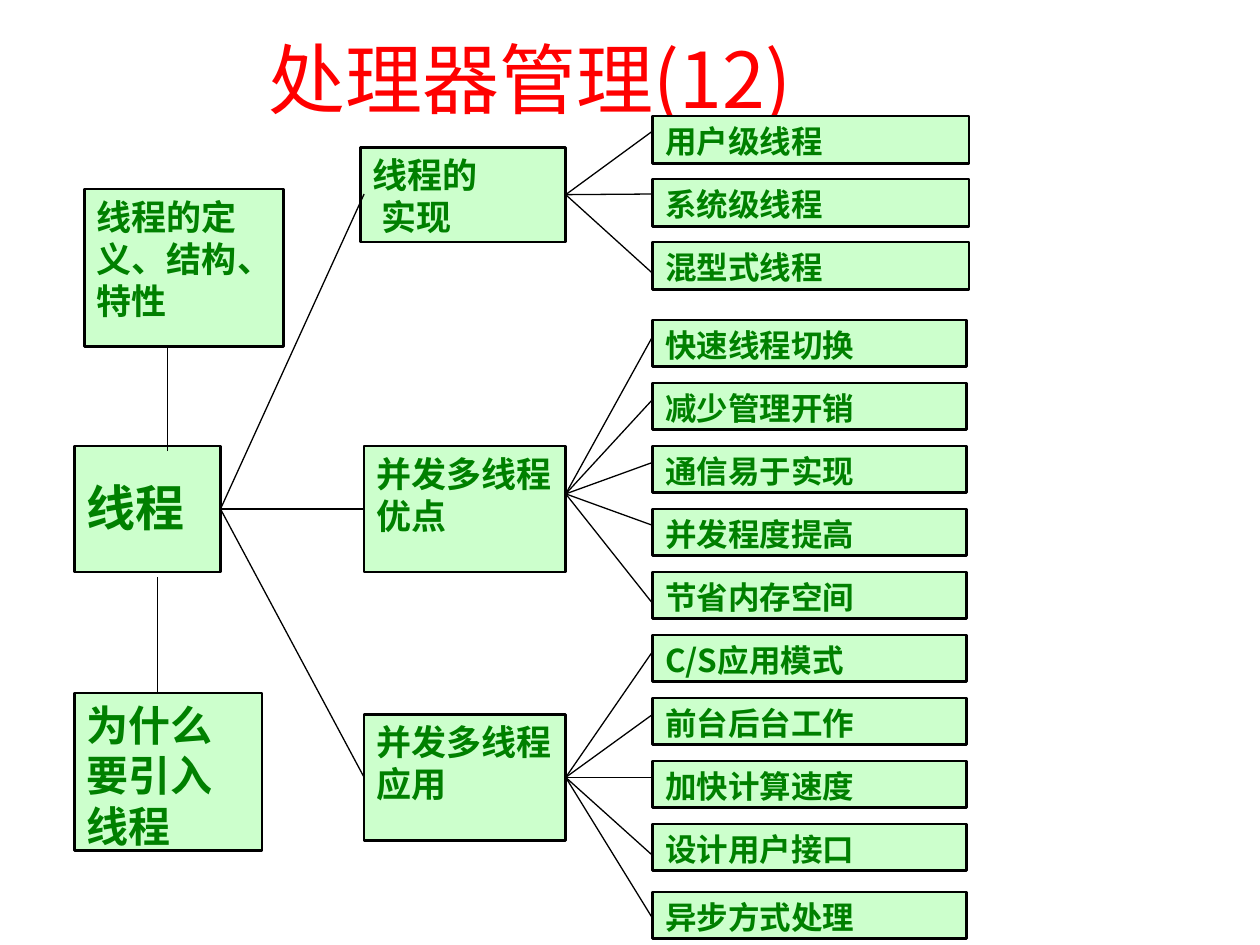
from dataclasses import dataclass

from lxml.etree import SubElement
from pptx import Presentation
from pptx.dml.color import RGBColor
from pptx.enum.shapes import MSO_CONNECTOR as Connector, MSO_SHAPE as Shape
from pptx.enum.text import MSO_ANCHOR as Anchor, MSO_AUTO_SIZE as AutoSize, PP_ALIGN as Align
from pptx.oxml.ns import qn
from pptx.util import Inches, Pt

RIGHT, LEFT = 3, 1  # connection sites of a rectangle


@dataclass(frozen=True)
class Theme:
    font: str = "Noto Sans CJK SC"
    title_color: RGBColor = RGBColor(0xFF, 0x00, 0x00)
    text_color: RGBColor = RGBColor(0x00, 0x80, 0x00)
    fill: RGBColor = RGBColor(0xCC, 0xFF, 0xCC)
    line: RGBColor = RGBColor(0x00, 0x00, 0x00)
    title_size: int = 44
    root_size: int = 28
    question_size: int = 24
    branch_size: int = 20
    leaf_size: int = 18


def write_text(paragraph, text, *, font, size, color, bold=False, align=Align.LEFT, indent=0):
    paragraph.alignment = align
    if indent:
        paragraph._p.get_or_add_pPr().set("marL", str(Inches(indent)))
    run = paragraph.add_run()
    run.text = text
    run.font.name = font
    run.font.size = Pt(size)
    run.font.bold = bold
    run.font.color.rgb = color
    # East Asian text takes its font from its own element
    SubElement(run._r.get_or_add_rPr(), qn("a:ea")).set("typeface", font)


class MindMap:
    def __init__(self, slide, theme):
        self.slide = slide
        self.theme = theme

    def title(self, text, left, top, width, height):
        shape = self.slide.shapes.title
        shape.left, shape.top = Inches(left), Inches(top)
        shape.width, shape.height = Inches(width), Inches(height)
        frame = shape.text_frame
        frame.auto_size = AutoSize.NONE
        frame.vertical_anchor = Anchor.MIDDLE
        write_text(frame.paragraphs[0], text, font=self.theme.font, align=Align.CENTER,
                   size=self.theme.title_size, color=self.theme.title_color)

    def box(self, lines, left, top, width, height, size, inset_top=0.05, second_indent=0):
        shape = self.slide.shapes.add_shape(
            Shape.RECTANGLE, Inches(left), Inches(top), Inches(width), Inches(height))
        shape.shadow.inherit = False
        shape.fill.solid()
        shape.fill.fore_color.rgb = self.theme.fill
        shape.line.color.rgb = self.theme.line
        shape.line.width = Pt(1.5)
        frame = shape.text_frame
        frame.word_wrap = True
        frame.vertical_anchor = Anchor.TOP
        frame.margin_top = Inches(inset_top)
        for index, line in enumerate(lines.split("\n")):
            paragraph = frame.add_paragraph() if index else frame.paragraphs[0]
            write_text(paragraph, line, font=self.theme.font, size=size, bold=True,
                       color=self.theme.text_color, indent=second_indent if index else 0)
        return shape

    def link(self, start, end, begin_box=None, end_box=None, width=0.75):
        connector = self.slide.shapes.add_connector(
            Connector.STRAIGHT, *(Inches(value) for value in (*start, *end)))
        connector.line.color.rgb = self.theme.line
        connector.line.width = Pt(width)
        SubElement(connector._element.spPr, qn("a:effectLst"))
        if begin_box is not None:
            connector.begin_connect(begin_box, RIGHT)
        if end_box is not None:
            connector.end_connect(end_box, LEFT)


def main():
    presentation = Presentation()
    presentation.slide_width, presentation.slide_height = Inches(10), Inches(7.5)
    slide = presentation.slides.add_slide(presentation.slide_layouts[5])
    theme = Theme()
    mind_map = MindMap(slide, theme)
    mind_map.title("处理器管理(12)", 0.08, 0.2, 8.25, 0.83)

    # Root and the three branches
    root = mind_map.box("线程", 0.59, 3.54, 1.16, 1, theme.root_size, inset_top=0.25)
    implementation = mind_map.box("线程的\n实现", 2.86, 1.17, 1.63, 0.75,
                                  theme.branch_size, second_indent=0.07)
    advantages = mind_map.box("并发多线程优点", 2.89, 3.54, 1.6, 1, theme.branch_size)
    applications = mind_map.box("并发多线程应用", 2.89, 5.67, 1.6, 1, theme.branch_size)

    # Leaves, half an inch apart: text and the height where its line arrives
    leaf_left, leaf_step = 5.18, 0.5
    groups = [
        (0.92, 2.51, 0.38, [("用户级线程", 1.04), ("系统级线程", 1.54), ("混型式线程", 2.17)]),
        (2.54, 2.49, 0.37, [("快速线程切换", 2.67), ("减少管理开销", 3.17), ("通信易于实现", 3.67),
                            ("并发程度提高", 4.17), ("节省内存空间", 4.79)]),
        (5.04, 2.49, 0.37, [("C/S应用模式", 5.17), ("前台后台工作", 5.67), ("加快计算速度", 6.17),
                            ("设计用户接口", 6.79)]),
        (7.08, 2.49, 0.37, [("异步方式处理", 7.29)]),
    ]
    for top, width, height, leaves in groups:
        for index, (text, _) in enumerate(leaves):
            mind_map.box(text, leaf_left, top + index * leaf_step, width, height, theme.leaf_size)

    # Lines from the root to the branches
    for end_y, branch in ((4.04, advantages), (1.54, None), (6.17, applications)):
        mind_map.link((1.75, 4.04), (2.89, end_y), root, branch)

    # Lines from the branches to the leaves
    fans = [(1.54, implementation), (3.92, None), (6.17, applications), (6.17, applications)]
    for (start_y, branch), (*_, leaves) in zip(fans, groups):
        for _, end_y in leaves:
            mind_map.link((4.49, start_y), (leaf_left, end_y), branch)

    # Side notes below and above the root
    mind_map.box("为什么要引入线程", 0.59, 5.5, 1.49, 1.25, theme.question_size)
    mind_map.box("线程的定义、结构、特性", 0.67, 1.5, 1.58, 1.25, theme.branch_size)
    mind_map.link((1.25, 4.58), (1.25, 5.5), width=1)
    mind_map.link((1.33, 3.58), (1.33, 2.75), width=1)

    presentation.save("out.pptx")


if __name__ == "__main__":
    main()
